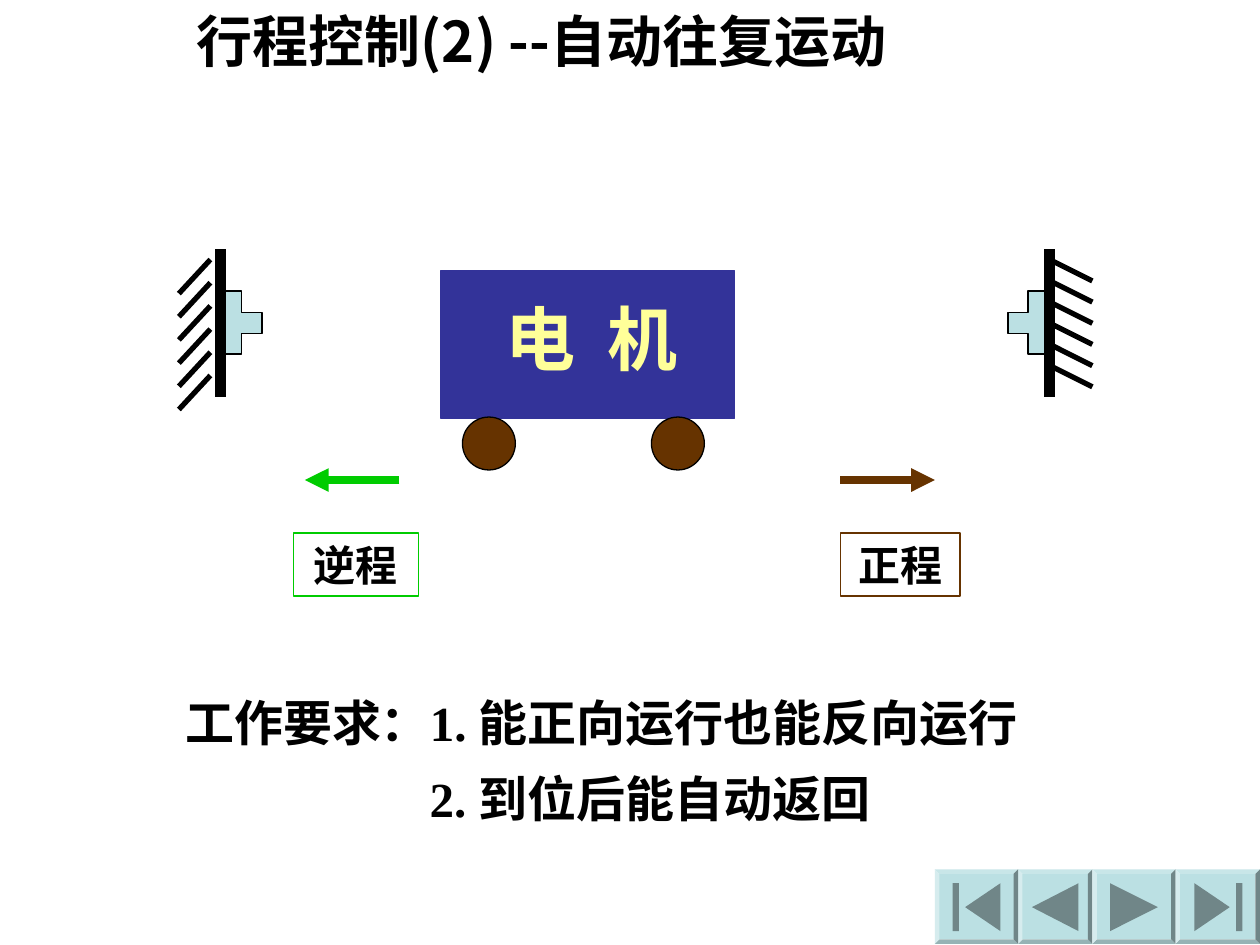
"""Build the slide on travel control with automatic reciprocating motion."""
from dataclasses import dataclass

from lxml import etree
from pptx import Presentation
from pptx.dml.color import RGBColor
from pptx.enum.shapes import MSO_CONNECTOR, MSO_SHAPE
from pptx.enum.text import MSO_ANCHOR, MSO_AUTO_SIZE, PP_ALIGN
from pptx.oxml.ns import qn
from pptx.util import Inches, Pt

STRAIGHT = MSO_CONNECTOR.STRAIGHT
RECTANGLE, OVAL, BEVEL = MSO_SHAPE.RECTANGLE, MSO_SHAPE.OVAL, MSO_SHAPE.BEVEL
TOP, MIDDLE = MSO_ANCHOR.TOP, MSO_ANCHOR.MIDDLE
LEFT, CENTER = PP_ALIGN.LEFT, PP_ALIGN.CENTER
NO_AUTOFIT = MSO_AUTO_SIZE.NONE
SANS, SERIF = "Noto Sans CJK SC", "Times New Roman"
BLACK, BLUE, BROWN, GREEN = "000000", "333399", "663300", "00CC00"
YELLOW, PALE, GREY = "FFFF99", "BBE0E3", "708688"


@dataclass
class Wall:
    x: float
    side: int
    hatch_x: float
    hatch_dx: float
    hatch_dy: float
    pitch: float


@dataclass
class Direction:
    text: str
    color: str
    box_left: float
    box_width: float
    arrow_start: float
    arrow_end: float


@dataclass
class Button:
    left: float
    width: float
    triangle: tuple[float, float]
    bar: float | None = None


WALLS = [
    Wall(1.75, 1, 1.67, -0.25, 0.27, 0.184),
    Wall(8.33, -1, 8.33, 0.34, 0.17, 0.168),
]
DIRECTIONS = [
    Direction("正程", BROWN, 6.67, 0.95, 6.67, 7.42),
    Direction("逆程", GREEN, 2.33, 0.99, 3.17, 2.42),
]
BUTTONS = [
    Button(8.08, 0.59, (8.56, 8.19)),
    Button(8.67, 0.66, (8.81, 9.19)),
    Button(7.42, 0.66, (7.94, 7.66), 7.56),
    Button(9.33, 0.67, (9.48, 9.76), 9.81),
]
WHEELS = [3.67, 5.17]


def rgb(color: str) -> RGBColor:
    """Turn a hex string into a colour."""
    return RGBColor.from_string(color)


def paint(shape, fill: str | None, line: str | None = None) -> None:
    """Set the fill and outline and drop the shadow."""
    shape.shadow.inherit = False
    if fill:
        shape.fill.solid()
        shape.fill.fore_color.rgb = rgb(fill)
    else:
        shape.fill.background()
    if line:
        shape.line.color.rgb = rgb(line)
        shape.line.width = Pt(0.75)
    else:
        shape.line.fill.background()


def add_block(shapes, kind, left: float, top: float, width: float, height: float,
              fill: str | None, line: str | None = None):
    """Add a painted preset shape."""
    shape = shapes.add_shape(kind, Inches(left), Inches(top), Inches(width), Inches(height))
    paint(shape, fill, line)
    return shape


def add_polygon(shapes, points: list[tuple[float, float]], fill: str,
                line: str | None = None) -> None:
    """Add a closed outline through the points."""
    corners = [(Inches(x), Inches(y)) for x, y in points]
    builder = shapes.build_freeform(*corners[0], scale=1.0)
    builder.add_line_segments(corners[1:], close=True)
    paint(builder.convert_to_shape(), fill, line)


def add_line(shapes, x1: float, y1: float, x2: float, y2: float, color: str,
             width: float, arrow: bool = False) -> None:
    """Add a straight line, with an arrowhead at its end if wanted."""
    connector = shapes.add_connector(STRAIGHT, Inches(x1), Inches(y1), Inches(x2), Inches(y2))
    connector.line.color.rgb = rgb(color)
    connector.line.width = Pt(width)
    properties = connector._element.spPr
    if arrow:
        etree.SubElement(properties.find(qn("a:ln")), qn("a:tailEnd"), type="triangle")
    etree.SubElement(properties, qn("a:effectLst"))


def write(shape, text: str, size: float, color: str = BLACK, font: str = SERIF,
          align=CENTER, anchor=MIDDLE) -> None:
    """Fill a shape with bold text."""
    frame = shape.text_frame
    frame.text = text
    frame.word_wrap = True
    frame.auto_size = NO_AUTOFIT
    frame.vertical_anchor = anchor
    for paragraph in frame.paragraphs:
        paragraph.alignment = align
        for run in paragraph.runs:
            run.font.name = font
            run.font.size = Pt(size)
            run.font.bold = True
            run.font.color.rgb = rgb(color)


def place(shape, left: float, top: float, width: float, height: float) -> None:
    """Move and resize a placeholder."""
    shape.left, shape.top = Inches(left), Inches(top)
    shape.width, shape.height = Inches(width), Inches(height)


def add_button(shapes, button: Button) -> None:
    """Add a bevelled navigation button with its symbol."""
    face = add_block(shapes, BEVEL, button.left, 6.9, button.width, 0.59, PALE)
    face.adjustments[0] = 0.06
    base, tip = button.triangle
    add_polygon(shapes, [(base, 7.01), (tip, 7.2), (base, 7.39)], GREY)
    if button.bar is not None:
        add_block(shapes, RECTANGLE, button.bar, 7.01, 0.05, 0.38, GREY)


def add_wall(shapes, wall: Wall) -> None:
    """Add a limit stop and its hatched wall."""
    outline = [(0, 2.31), (0.17, 2.31), (0.17, 2.48), (0.33, 2.48),
               (0.33, 2.65), (0.17, 2.65), (0.17, 2.81), (0, 2.81)]
    add_polygon(shapes, [(wall.x + wall.side * x, y) for x, y in outline], PALE, BLACK)
    group = shapes.add_group_shape().shapes
    add_line(group, wall.x, 1.98, wall.x, 3.15, BLACK, 6)
    for index in range(6):
        y = 2.06 + index * wall.pitch
        add_line(group, wall.hatch_x, y, wall.hatch_x + wall.hatch_dx,
                 y + wall.hatch_dy, BLACK, 3)


def add_direction(shapes, direction: Direction) -> None:
    """Add a travel arrow and its label."""
    add_line(shapes, direction.arrow_start, 3.81, direction.arrow_end, 3.81,
             direction.color, 4.5, arrow=True)
    label = add_block(shapes, RECTANGLE, direction.box_left, 4.23, direction.box_width, 0.5,
                      None, direction.color)
    write(label, direction.text, 24)


def fill_requirements(body) -> None:
    """Write the working requirements, the second one indented."""
    place(body, 1.37, 5, 6.98, 1.92)
    write(body, "工作要求：1. 能正向运行也能反向运行\n2. 到位后能自动返回", 28, align=LEFT)
    for paragraph, margin in zip(body.text_frame.paragraphs, (0, 1.94)):
        properties = paragraph._p.get_or_add_pPr()
        properties.set("marL", str(Inches(margin)))
        properties.set("indent", "0")
        etree.SubElement(properties, qn("a:buNone"))
        paragraph.line_spacing = 1.3
        paragraph.space_before = Pt(0)


def main() -> None:
    """Build and save the presentation."""
    presentation = Presentation()
    presentation.slide_width, presentation.slide_height = Inches(10), Inches(7.5)
    slide = presentation.slides.add_slide(presentation.slide_layouts[1])
    shapes = slide.shapes
    place(shapes.title, 1.46, 0, 6.19, 0.64)
    write(shapes.title, "行程控制(2) --自动往复运动", 32, font=SANS, align=LEFT, anchor=TOP)
    fill_requirements(slide.placeholders[1])
    for button in BUTTONS:
        add_button(shapes, button)
    for wall in WALLS:
        add_wall(shapes, wall)
    add_block(shapes, RECTANGLE, 3.5, 2.15, 2.33, 1.17, BLUE, BLUE)
    for direction in DIRECTIONS:
        add_direction(shapes, direction)
    for left in WHEELS:
        add_block(shapes, OVAL, left, 3.31, 0.42, 0.42, BROWN, BLACK)
    motor = shapes.add_textbox(Inches(3.86), Inches(2.29), Inches(1.67), Inches(0.77))
    write(motor, "电  机", 40, YELLOW)
    presentation.save("out.pptx")


if __name__ == "__main__":
    main()
